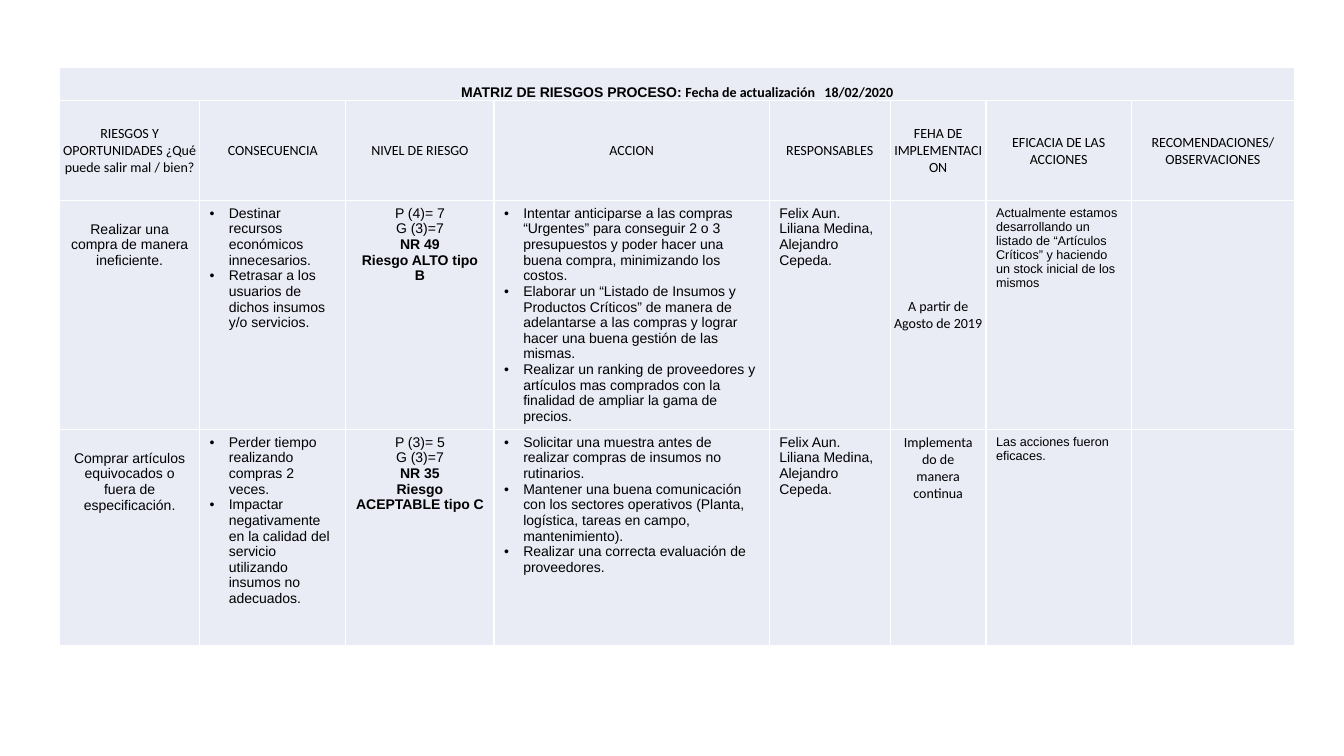
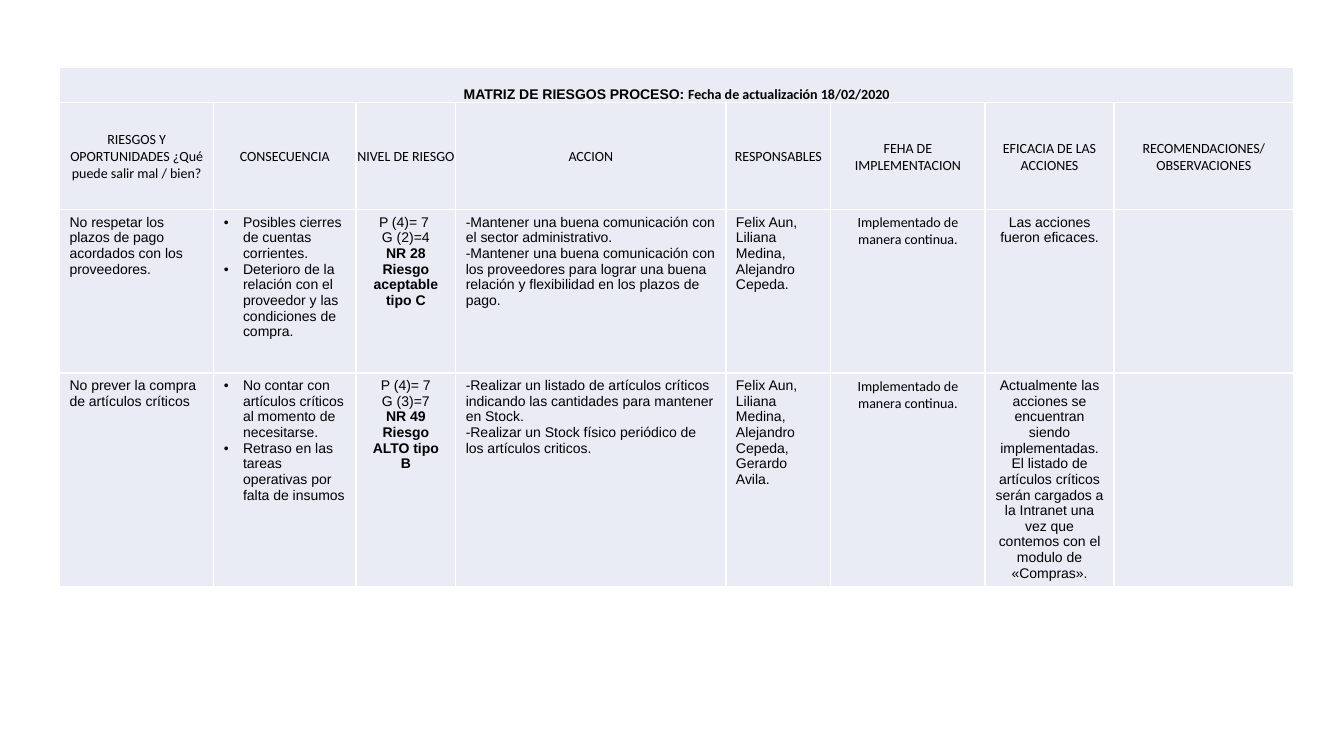
from lxml import etree
from pptx import Presentation
from pptx.dml.color import RGBColor
from pptx.enum import text
from pptx.oxml import ns
from pptx.util import Inches, Pt

INK = RGBColor(0x00, 0x00, 0x00)
PANEL = RGBColor(0xE9, 0xEB, 0xF5)
RULE = RGBColor(0xFF, 0xFF, 0xFF)

CENTER = text.PP_ALIGN.CENTER
MIDDLE = text.MSO_ANCHOR.MIDDLE
BOTTOM = text.MSO_ANCHOR.BOTTOM

LEFT = {}
CENTERED = {"align": CENTER}
LOWERED = {"align": CENTER, "top": 0.21}
BULLETED = {"bullet": True}
LEVEL = {"align": CENTER, "bold_from": 2}
DATE = {"align": CENTER, "font": "Calibri"}
SMALL = {"size": 9}
TIGHT = {"align": CENTER, "anchor": MIDDLE, "side": 0.01, "top": 0.01, "bottom": 0}
HEADING = TIGHT | {"font": "Calibri"}
BANNER = TIGHT | {"anchor": BOTTOM, "bold_from": 0}

HEADINGS = [
    ["RIESGOS Y OPORTUNIDADES ¿Qué puede salir mal / bien?"],
    ["CONSECUENCIA"],
    ["NIVEL DE RIESGO"],
    ["ACCION"],
    ["RESPONSABLES"],
    ["FEHA DE IMPLEMENTACION"],
    ["EFICACIA DE LAS ACCIONES"],
    ["RECOMENDACIONES/", "OBSERVACIONES"],
]

matrices = [
    {
        "updated": "Fecha de actualización   18/02/2020",
        "widths": [1.39, 1.45, 1.47, 2.73, 1.2, 0.95, 1.44, 1.62],
        "heights": [0.33, 0.99, 1.64, 2.14],
        "formats": [LOWERED, BULLETED, LEVEL, BULLETED, LEFT, DATE, SMALL, LEFT],
        "exceptions": {(0, 5): HEADING},
        "risks": [
            [
                ["Realizar una compra de manera ineficiente."],
                ["Destinar recursos económicos innecesarios.",
                 "Retrasar a los usuarios de dichos insumos y/o servicios."],
                ["P (4)= 7", "G (3)=7", "NR 49", "Riesgo ALTO tipo B"],
                ["Intentar anticiparse a las compras “Urgentes” para conseguir 2 o 3 "
                 "presupuestos y poder hacer una buena compra, minimizando los costos.",
                 "Elaborar un “Listado de Insumos y Productos Críticos” de manera de "
                 "adelantarse a las compras y lograr hacer una buena gestión de las mismas.",
                 "Realizar un ranking de proveedores y artículos mas comprados con la "
                 "finalidad de ampliar la gama de precios."],
                ["Felix Aun. Liliana Medina, Alejandro Cepeda."],
                ["A partir de Agosto de 2019"],
                ["Actualmente estamos desarrollando un listado de “Artículos Críticos” "
                 "y haciendo un stock inicial de los mismos"],
            ],
            [
                ["Comprar artículos equivocados o fuera de especificación."],
                ["Perder tiempo realizando compras 2 veces.",
                 "Impactar negativamente en la calidad del servicio utilizando insumos "
                 "no adecuados."],
                ["P (3)= 5", "G (3)=7", "NR 35", "Riesgo ACEPTABLE tipo C"],
                ["Solicitar una muestra antes de realizar compras de insumos no rutinarios.",
                 "Mantener una buena comunicación con los sectores operativos (Planta, "
                 "logística, tareas en campo, mantenimiento).",
                 "Realizar una correcta evaluación de proveedores."],
                ["Felix Aun.", "Liliana Medina, Alejandro Cepeda."],
                ["Implementado de manera continua"],
                ["Las acciones fueron eficaces."],
            ],
        ],
    },
    {
        "updated": "Fecha de actualización 18/02/2020",
        "widths": [1.53, 1.41, 0.99, 2.68, 1.04, 1.53, 1.28, 1.78],
        "heights": [0.35, 1.06, 1.62, 1.75],
        "formats": [LEFT, BULLETED, LEVEL, LEFT, LEFT, DATE, CENTERED, LEFT],
        "exceptions": {},
        "risks": [
            [
                ["No respetar los plazos de pago acordados con los proveedores."],
                ["Posibles cierres de cuentas corrientes.",
                 "Deterioro de la relación con el proveedor y las condiciones de compra."],
                ["P (4)= 7 ", "G (2)=4", "NR 28", "Riesgo aceptable tipo C"],
                ["-Mantener una buena comunicación con el sector administrativo.",
                 "-Mantener una buena comunicación con los proveedores para lograr una "
                 "buena relación y flexibilidad en los plazos de pago."],
                ["Felix Aun, Liliana Medina, Alejandro Cepeda."],
                ["Implementado de manera continua."],
                ["Las acciones fueron eficaces."],
            ],
            [
                ["No prever la compra de artículos críticos"],
                ["No contar con artículos críticos al momento de necesitarse.",
                 "Retraso en las tareas operativas por falta de insumos"],
                ["P (4)= 7", "G (3)=7", "NR 49", "Riesgo ALTO tipo B"],
                ["-Realizar un listado de artículos críticos indicando las cantidades "
                 "para mantener en Stock.",
                 "-Realizar un Stock físico periódico de los artículos criticos."],
                ["Felix Aun, Liliana Medina, Alejandro Cepeda, Gerardo Avila."],
                ["Implementado de manera continua."],
                ["Actualmente las acciones se encuentran siendo implementadas. El listado "
                 "de artículos críticos serán cargados a la Intranet una vez que contemos "
                 "con el modulo de «Compras»."],
            ],
        ],
    },
]


def write(cell, lines, font="Arial", size=10, align=None, anchor=None, bold_from=None,
          bullet=False, side=0.1, top=0.05, bottom=0.05, tail=""):
    cell.margin_left = cell.margin_right = Inches(side)
    cell.margin_top, cell.margin_bottom = Inches(top), Inches(bottom)
    cell.vertical_anchor = anchor
    for index, line in enumerate(lines):
        frame = cell.text_frame
        paragraph = frame.add_paragraph() if index else frame.paragraphs[0]
        paragraph.alignment = align
        if bullet:
            properties = paragraph._p.get_or_add_pPr()
            properties.set("marL", str(Inches(0.19)))
            properties.set("indent", str(-Inches(0.19)))
            etree.SubElement(properties, ns.qn("a:buFont")).set("typeface", "Arial")
            etree.SubElement(properties, ns.qn("a:buChar")).set("char", "•")
        for words, face in [(line, font), (tail, "Calibri")]:
            if words:
                run = paragraph.add_run()
                run.text = words
                run.font.name = face
                run.font.size = Pt(size)
                run.font.bold = bold_from is not None and index >= bold_from
                run.font.color.rgb = INK


def panel(cell):
    properties = cell._tc.get_or_add_tcPr()
    for edge in ("lnL", "lnR", "lnT", "lnB"):
        line = etree.SubElement(properties, ns.qn("a:" + edge), w=str(Pt(1)))
        paint = etree.SubElement(line, ns.qn("a:solidFill"))
        etree.SubElement(paint, ns.qn("a:srgbClr")).set("val", str(RULE))
    cell.fill.solid()
    cell.fill.fore_color.rgb = PANEL


deck = Presentation()
deck.slide_width, deck.slide_height = Inches(13.33), Inches(7.5)

for matrix in matrices:
    slide = deck.slides.add_slide(deck.slide_layouts[6])
    widths, heights = matrix["widths"], matrix["heights"]
    grid = slide.shapes.add_table(
        len(heights), len(widths), Inches(0.59), Inches(0.67),
        Inches(sum(widths)), Inches(sum(heights))).table
    grid.first_row = grid.horz_banding = False
    for column, width in zip(grid.columns, widths):
        column.width = Inches(width)
    for row, height in zip(grid.rows, heights):
        row.height = Inches(height)
    for cell in grid.iter_cells():
        panel(cell)

    grid.cell(0, 0).merge(grid.cell(0, len(widths) - 1))
    write(grid.cell(0, 0), ["MATRIZ DE RIESGOS PROCESO: "], tail=matrix["updated"], **BANNER)
    for column, heading in enumerate(HEADINGS):
        write(grid.cell(1, column), heading, **HEADING)
    for row, risk in enumerate(matrix["risks"]):
        for column, lines in enumerate(risk):
            style = matrix["exceptions"].get((row, column), matrix["formats"][column])
            write(grid.cell(row + 2, column), lines, **style)

deck.save("out.pptx")
